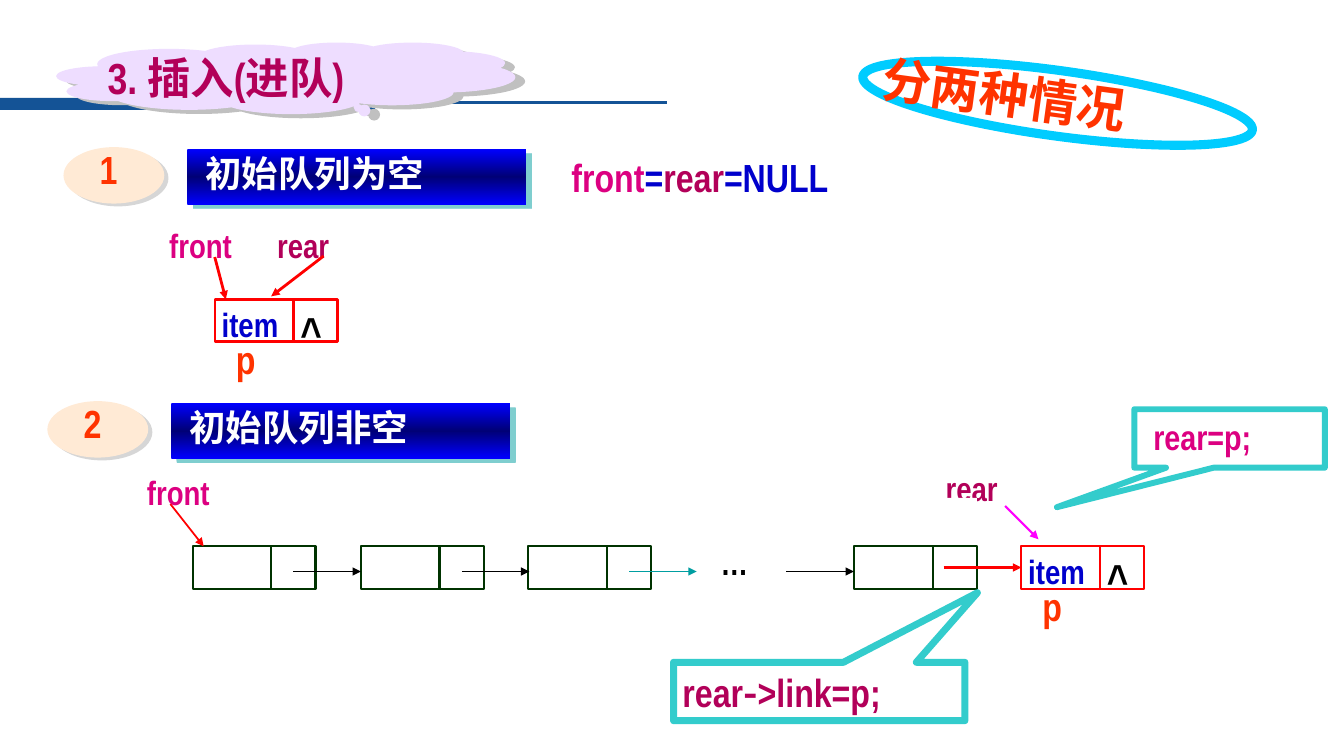
from copy import deepcopy

from lxml.etree import SubElement
from pptx import Presentation
from pptx.dml.color import RGBColor
from pptx.enum.shapes import MSO_CONNECTOR, MSO_SHAPE
from pptx.enum.text import MSO_AUTO_SIZE
from pptx.oxml.ns import qn
from pptx.util import Inches, Pt

COLORS = {
    "navy": "145396", "red": "FF0000", "orange": "FF3300", "blue": "0000CC",
    "pink": "DC0081", "wine": "B20059", "black": "000000", "white": "FFFFFF",
    "green": "003300", "teal": "009EA1", "magenta": "FF00FF",
    "turquoise": "33CCCC", "cyan": "00CCFF", "lilac": "EEDDFF",
    "cream": "FFEAD5", "silver": "C0C0C0", "light gray": "D6D6D6",
    "bright blue": "0000FF", "deep blue": "000076",
}
LATIN_FONT = "Arial Narrow"
CHINESE_FONT = "Noto Sans CJK SC"
CELL_WIDTHS = (0.78, 0.44)
CELL_HEIGHT = 0.42
CHAIN_TOP = 5.42
LINK_Y = 5.67
LINK_LENGTH = 0.67


def rgb(name):
    return RGBColor.from_string(COLORS[name])


def add_shadow(effects, color, distance, direction, alpha=100):
    shadow = SubElement(effects, qn("a:outerShdw"), dist=str(Pt(distance)),
                        dir=str(direction * 60000), algn="ctr", rotWithShape="0")
    tint = SubElement(shadow, qn("a:srgbClr"), val=COLORS[color])
    SubElement(tint, qn("a:alpha"), val=str(alpha * 1000))


def add_figure(slide, preset, box, fill=None, line=None, width=1.5,
               shadow=None, adjustments=(), rotation=0):
    shape = slide.shapes.add_shape(preset, *map(Inches, box))
    shape.rotation = rotation
    for index, value in enumerate(adjustments):
        shape.adjustments[index] = value
    if fill:
        shape.fill.solid()
        shape.fill.fore_color.rgb = rgb(fill)
    else:
        shape.fill.background()
    if line:
        shape.line.color.rgb = rgb(line)
        shape.line.width = Pt(width)
    else:
        shape.line.fill.background()
    shape.shadow.inherit = False
    if shadow:
        add_shadow(shape._element.spPr.find(qn("a:effectLst")), *shadow)
    return shape


def add_text(slide, box, size, runs, wrap=True, shadow=False, rotation=0,
             line_spacing=None, tab=None):
    """Add one paragraph; each run is (text, color) or (text, color, font)."""
    text_box = slide.shapes.add_textbox(*map(Inches, box))
    text_box.rotation = rotation
    frame = text_box.text_frame
    frame.word_wrap = wrap
    frame.auto_size = MSO_AUTO_SIZE.SHAPE_TO_FIT_TEXT
    paragraph = frame.paragraphs[0]
    if line_spacing:
        paragraph.line_spacing = line_spacing
    if tab:
        tabs = SubElement(paragraph._p.get_or_add_pPr(), qn("a:tabLst"))
        SubElement(tabs, qn("a:tab"), pos=str(Inches(tab)), algn="l")
    for text, color, *font_name in runs:
        run = paragraph.add_run()
        run.text = text
        run.font.color.rgb = rgb(color)
        properties = run._r.get_or_add_rPr()
        if shadow:
            add_shadow(SubElement(properties, qn("a:effectLst")), "black", 2, 45)
        values = {"name": font_name[0] if font_name else LATIN_FONT,
                  "size": Pt(size), "bold": True}
        for name, value in values.items():
            setattr(run.font, name, value)
        SubElement(properties, qn("a:ea"), typeface=CHINESE_FONT)


def add_line(slide, start, end, color, width, arrow=True):
    connector = slide.shapes.add_connector(
        MSO_CONNECTOR.STRAIGHT, *map(Inches, (*start, *end)))
    connector.line.color.rgb = rgb(color)
    connector.line.width = Pt(width)
    if arrow:
        SubElement(connector.line._get_or_add_ln(), qn("a:tailEnd"), type="triangle")
    SubElement(connector._element.spPr, qn("a:effectLst"))
    return connector


def add_node(slide, left, top, color, width=1.5):
    """Draw a data cell and a link cell; return the data cell."""
    data_width, link_width = CELL_WIDTHS
    data_cell = add_figure(slide, MSO_SHAPE.RECTANGLE,
                           (left, top, data_width, CELL_HEIGHT),
                           line=color, width=width)
    add_figure(slide, MSO_SHAPE.RECTANGLE,
               (left + data_width, top, link_width, CELL_HEIGHT),
               line=color, width=width)
    return data_cell


def add_new_node(slide, left, top, width):
    """Draw the inserted node p with its item and empty link."""
    data_cell = add_node(slide, left, top, "red", width)
    add_text(slide, (left + 0.11, top + 0.31, 0.4, 0.57), 28,
             [("p", "orange")], wrap=False)
    add_text(slide, (left - 0.03, top, 0.77, 0.5), 24, [("item", "blue")], wrap=False)
    add_text(slide, (left + 0.75, top, 0.42, 0.64), 32, [("^", "black")], wrap=False)
    return data_cell


def add_callout(slide, box, adjustments, width):
    add_figure(slide, MSO_SHAPE.RECTANGULAR_CALLOUT, box, line="turquoise",
               width=width, adjustments=adjustments)


def add_case_heading(slide, number, title, left, top):
    add_figure(slide, MSO_SHAPE.OVAL, (left, top, 1, 0.56), fill="cream",
               shadow=("light gray", 3.6, 34))
    add_text(slide, (left + 0.26, top - 0.07, 0.38, 0.57), 28,
             [(number, "orange")], wrap=False, shadow=True)
    bar = add_figure(slide, MSO_SHAPE.RECTANGLE, (left + 1.23, top + 0.02, 3.36, 0.55),
                     shadow=("teal", 5, 37, 50))
    bar.fill.gradient()
    bar.fill.gradient_angle = 90
    stop_list = bar._element.spPr.find(".//" + qn("a:gsLst"))
    stop_list.append(deepcopy(stop_list[0]))
    stop_colors = ("bright blue", "deep blue", "bright blue")
    for index, (stop, color) in enumerate(zip(bar.fill.gradient_stops, stop_colors)):
        stop.position = index / 2
        stop.color.rgb = rgb(color)
    add_text(slide, (left + 1.31, top - 0.01, 4.02, 0.53), 26,
             [(title, "white")], shadow=True)


def add_empty_queue(slide):
    add_new_node(slide, 2.13, 2.97, 1.75)
    add_text(slide, (1.58, 2.18, 3.41, 0.5), 24,
             [("front\t", "pink"), ("rear", "wine")], tab=1.07)
    add_line(slide, (2.13, 2.55), (2.24, 2.97), "red", 2)
    add_line(slide, (3.21, 2.54), (2.69, 2.94), "red", 2)


def add_filled_queue(slide):
    for left in (1.91, 3.58, 5.24, 8.47):
        add_node(slide, left, CHAIN_TOP, "green")
    for left, color in ((2.91, "black"), (4.58, "black"), (6.24, "teal"), (7.8, "black")):
        add_line(slide, (left, LINK_Y), (left + LINK_LENGTH, LINK_Y), color, 1.25)
    add_text(slide, (7.05, 5.33, 0.48, 0.51), 24, [("…", "black")], wrap=False)
    add_text(slide, (1.36, 4.63, 0.83, 0.51), 24, [("front", "pink")], wrap=False)
    add_line(slide, (1.69, 5), (2.02, CHAIN_TOP), "red", 1.25)
    add_text(slide, (9.28, 4.59, 0.72, 0.51), 24, [("rear", "wine")], wrap=False)
    new_cell = add_new_node(slide, 10.13, CHAIN_TOP, 1.5)
    middle = CHAIN_TOP + CELL_HEIGHT / 2
    new_link = add_line(slide, (9.36, middle), (10.13, middle), "red", 2)
    new_link.end_connect(new_cell, 1)
    add_figure(slide, MSO_SHAPE.RECTANGLE, (8.69, 4.94, 1, 0.42), fill="white")
    add_line(slide, (9.97, 5.02), (10.3, 5.35), "magenta", 1.5)
    add_callout(slide, (6.68, 6.57, 2.89, 0.58), (0.543, -1.69), 5)
    add_text(slide, (6.67, 6.58, 3.79, 0.57), 28,
             [("rear", "wine"), ("-", "wine", CHINESE_FONT), (">link=p;", "wine")])
    add_callout(slide, (11.25, 4.06, 1.89, 0.58), (-0.906, 1.176), 4.25)
    add_text(slide, (11.34, 4.07, 1.89, 0.52), 25, [("rear=p;", "pink")])


def add_titles(slide):
    add_figure(slide, MSO_SHAPE.OVAL, (8.54, 0.7, 3.9, 0.65), line="cyan",
               width=6.5, rotation=7.8)
    add_text(slide, (8.64, 0.68, 3.99, 0.68), 35, [("分两种情况", "orange")],
             shadow=True, rotation=7.8)
    add_figure(slide, MSO_SHAPE.CLOUD_CALLOUT, (0.56, 0.42, 4.55, 0.71), fill="lilac",
               shadow=("silver", 7.6, 23), adjustments=(0.152, 0.402))
    add_text(slide, (0.97, 0.46, 4.55, 0.62), 31, [("3. 插入(进队)", "wine")])


def main():
    presentation = Presentation()
    presentation.slide_width = Inches(13.33)
    presentation.slide_height = Inches(7.5)
    slide = presentation.slides.add_slide(presentation.slide_layouts[6])
    add_figure(slide, MSO_SHAPE.RECTANGLE, (0, 0.97, 3.72, 0.12), fill="navy")
    add_line(slide, (3.68, 1.02), (6.62, 1.02), "navy", 2.25, arrow=False)
    add_empty_queue(slide)
    add_filled_queue(slide)
    add_titles(slide)
    add_text(slide, (5.57, 1.54, 4.04, 0.5), 28,
             [("front", "pink"), ("=", "blue"), ("rear", "wine"), ("=NULL", "blue")],
             line_spacing=0.85)
    add_case_heading(slide, "1", "初始队列为空", 0.63, 1.46)
    add_case_heading(slide, "2", "初始队列非空", 0.47, 3.98)
    presentation.save("out.pptx")


if __name__ == "__main__":
    main()
